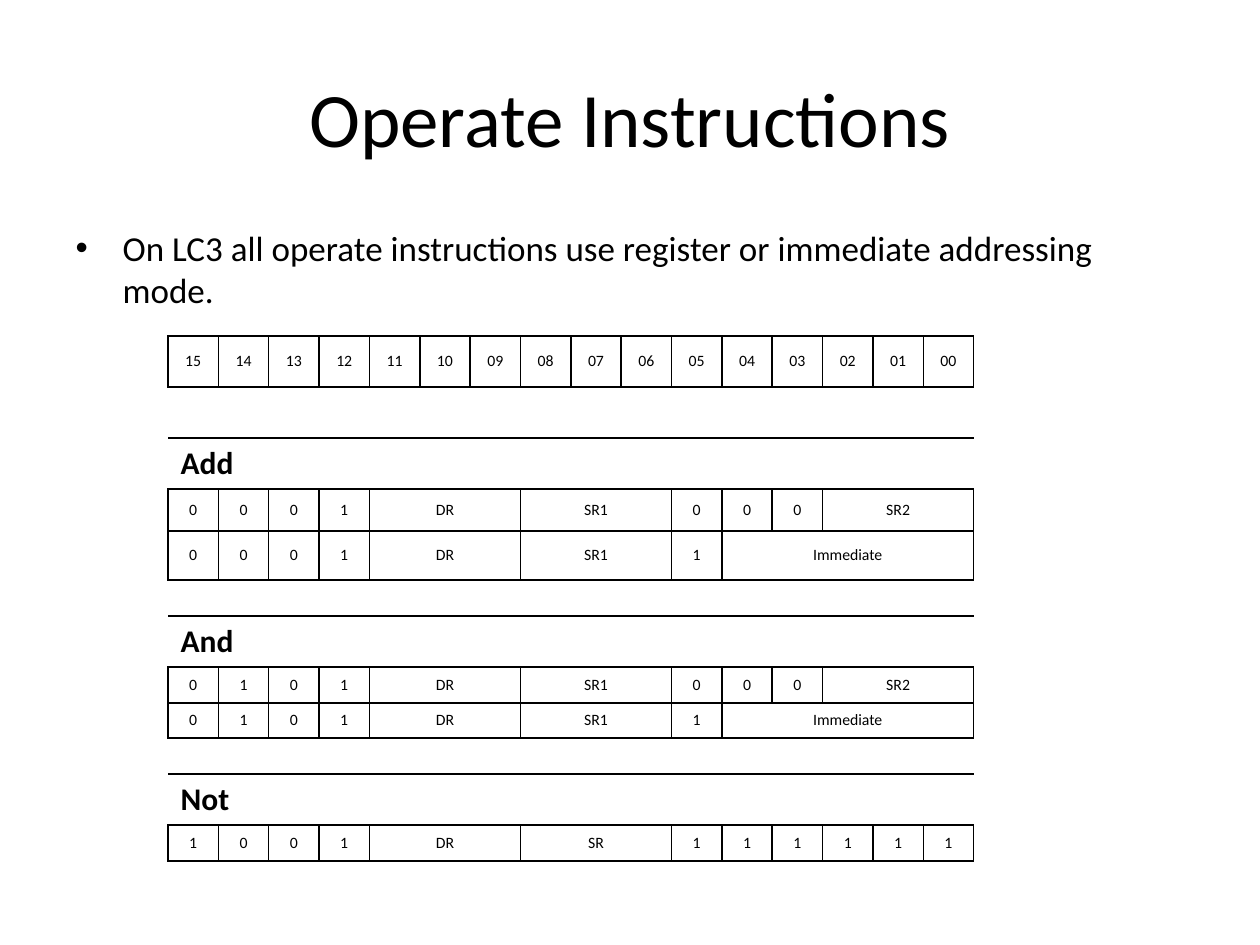
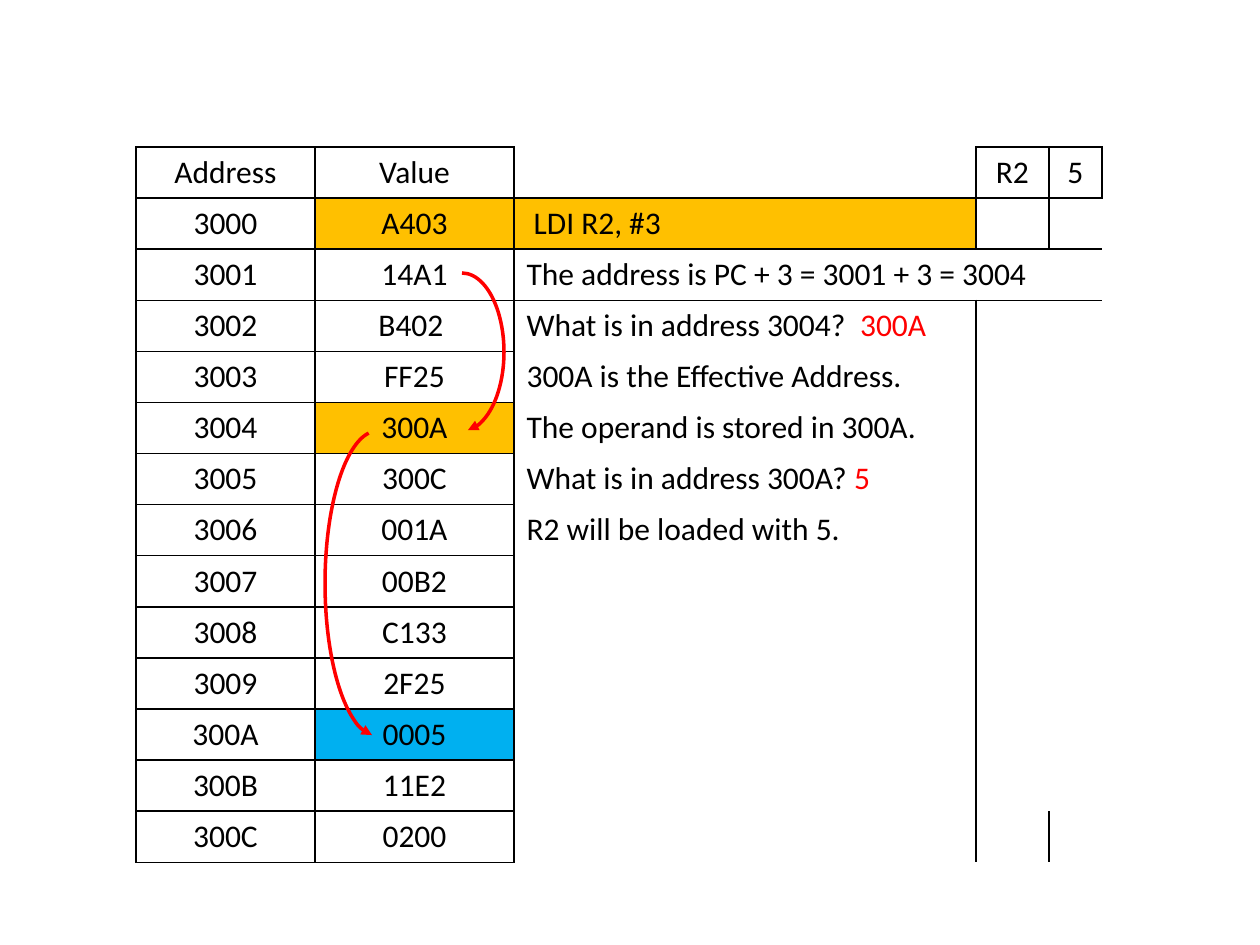
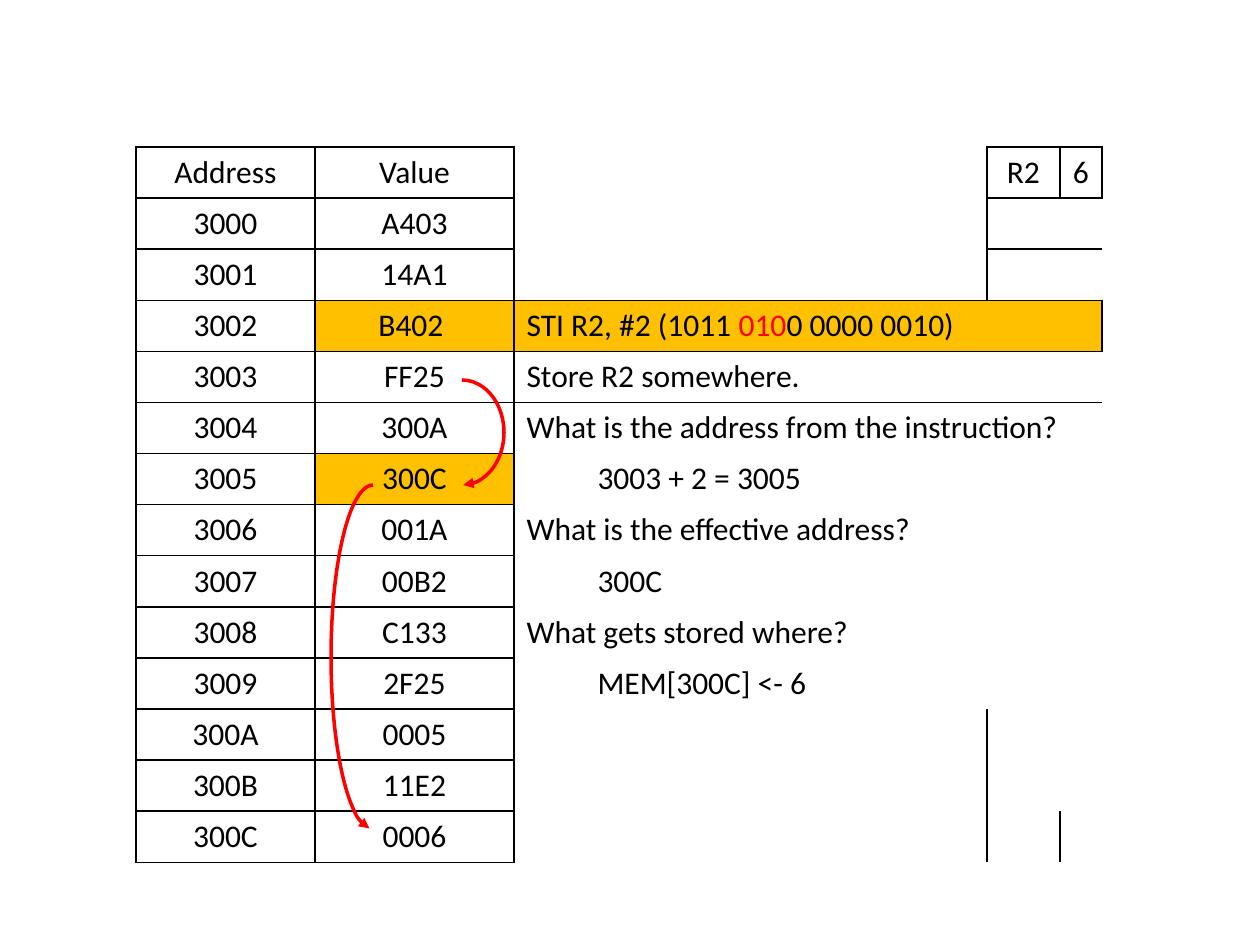
from lxml import etree
from pptx import Presentation
from pptx import util as u
from pptx.dml.color import RGBColor
from pptx.enum import shapes, text
from pptx.oxml.ns import qn

# ---------- shared look ----------
BLACK = RGBColor(0, 0, 0)
WHITE = RGBColor(0xFF, 0xFF, 0xFF)
RED = RGBColor(0xFF, 0, 0)
GOLD = RGBColor(0xFF, 0xC0, 0)
BLUE = RGBColor(0, 0xB0, 0xF0)
FONT = "Calibri"
SCALE = 914400 / 126
MID = text.PP_ALIGN.CENTER
LEFT = text.PP_ALIGN.LEFT
NO_GRID = "{2D5ABB26-0587-4C30-8999-92F81FD0307C}"

# ---------- content: instruction formats ----------
TITLE = "Operate Instructions"
POINT = ("On LC3 all operate instructions use register or "
         "immediate addressing mode.")
BITS = [f"{n:02d}" for n in range(15, -1, -1)]
# A row is a height and its fields; a field is a word or (word, bits wide).
DR, SR, SR1, SR2 = ("DR", 3), ("SR", 3), ("SR1", 3), ("SR2", 3)
IMM = ("Immediate", 5)
REGS = [DR, SR1, "0", "0", "0", SR2]
CONST = [DR, SR1, "1", IMM]
FORMATS = [
    (51, BITS),
    (51, "gap"),
    (50, "Add"),
    (42, [*"0001", *REGS]),
    (49, [*"0001", *CONST]),
    (36, "gap"),
    (51, "And"),
    (36, [*"0101", *REGS]),
    (35, [*"0101", *CONST]),
    (36, "gap"),
    (51, "Not"),
    (36, [*"1001", DR, SR, *"111111"]),
]

# ---------- content: memory walks ----------
CELLS = ["A403", "14A1", "B402 ", "FF25", "300A", "300C", "001A",
         "00B2", "C133", "2F25", "0005", "11E2"]
# Notes: row -> (runs, columns wide, edges, indent)
# Arcs: box, start and end angle, which end has the arrowhead
WALKS = [
    dict(
        reg="5", last="0200", cols=[179, 199, 462, 73, 53],
        notes={
            1: ([" LDI R2, #3"], 1, "LRTB", 0),
            2: (["The address is PC + 3 = 3001 + 3 = 3004"], 3, "LTB", 0),
            3: (["What is in address 3004?  ", ("300A", RED)], 1, "L", 0),
            4: (["300A is the Effective Address."], 1, "L", 0),
            5: (["The operand is stored in 300A."], 1, "L", 0),
            6: (["What is in address 300A? ", ("5", RED)], 1, "L", 0),
            7: (["R2 will be loaded with 5."], 1, "L", 0),
        },
        edges={(0, 2): "LRB", (1, 3): "LT", (1, 4): "T"},
        fills={(1, 1): GOLD, (1, 2): GOLD, (1, 3): WHITE, (1, 4): WHITE,
               (5, 1): GOLD, (11, 1): BLUE},
        arcs=[((420, 273, 84, 158), 162, 51.41, "tailEnd"),
              ((325, 431, 105, 305), 55.24, 159.98, "headEnd")],
    ),
    dict(
        reg="6", last="0006", cols=[179, 199, 473, 73, 42],
        notes={
            3: (["STI R2, #2 (1011 ", ("010", RED), "0 0000 0010)"],
                3, "LRTB", 0),
            4: (["Store R2 somewhere."], 3, "LTB", 0),
            5: (["What is the address from the instruction?"], 3, "L", 0),
            6: (["3003 + 2 = 3005"], 3, "L", 71),
            7: (["What is the effective address?"], 3, "L", 0),
            8: (["300C"], 3, "L", 71),
            9: (["What gets stored where?"], 3, "L", 0),
            10: (["MEM[300C] <- 6"], 3, "L", 71),
        },
        edges={(0, 2): "LR", (1, 3): "T", (1, 4): "T"},
        fills={(1, 1): WHITE, (1, 2): WHITE, (1, 3): WHITE, (1, 4): WHITE,
               (2, 1): WHITE, (2, 2): WHITE, (3, 1): GOLD, (3, 2): GOLD,
               (6, 1): GOLD},
        arcs=[((420, 380, 84, 105), 162, 53.25, "tailEnd"),
              ((331, 485, 84, 344), 54.69, 162, "headEnd")],
    ),
]


# ---------- helpers ----------
def px(n):
    """Turn pixels into EMU."""
    return u.Emu(round(n * SCALE))


def place(item, box):
    """Move a shape to a pixel box."""
    item.left, item.top, item.width, item.height = map(px, box)


def put(frame, runs, size=18, bold=False, align=LEFT, indent=0, hang=0):
    """Write runs, each a word or (word, colour), as one paragraph."""
    para = frame.paragraphs[0]
    para.alignment = align
    if indent:
        props = para._p.get_or_add_pPr()
        props.set("marL", str(px(indent)))
        props.set("indent", str(px(-hang)))
    for part in runs:
        word, tint = (part, BLACK) if isinstance(part, str) else part
        run = para.add_run()
        run.text = word
        font = run.font
        font.name, font.size, font.bold = FONT, u.Pt(size), bold
        font.color.rgb = tint
    if not runs:
        etree.SubElement(para._p, qn("a:endParaRPr"), sz=str(size * 100))


def rule(cell, edges):
    """Draw black one-point lines on the named edges of a cell."""
    props = cell._tc.get_or_add_tcPr()
    for side in "LRTB":
        if side in edges:
            line = etree.SubElement(props, qn("a:ln" + side), w="12700")
            fill = etree.SubElement(line, qn("a:solidFill"))
            etree.SubElement(fill, qn("a:srgbClr"), val=str(BLACK))


def fill_cell(grid, row, col, runs=(), span=1, edges="LRTB", fill=None,
              mid=False, **form):
    """Format, merge and fill one cell of a table."""
    head = grid.cell(row, col)
    if span > 1:
        head.merge(grid.cell(row, col + span - 1))
    for k in range(span):
        cell = grid.cell(row, col + k)
        drop = "" if k == 0 else "L" if k == span - 1 else "LR"
        rule(cell, [e for e in edges if e not in drop])
        if fill is None:
            cell.fill.background()
        else:
            cell.fill.solid()
            cell.fill.fore_color.rgb = fill
    if mid:
        head.vertical_anchor = text.MSO_ANCHOR.MIDDLE
    put(head.text_frame, runs, **form)


def add_grid(slide, left, top, cols, rows):
    """Add a plain table with the given column widths and row heights."""
    frame = slide.shapes.add_table(len(rows), len(cols), px(left), px(top),
                                   px(sum(cols)), px(sum(rows)))
    grid = frame.table
    grid.first_row = grid.horz_banding = False
    grid._tbl.tblPr.find(qn("a:tableStyleId")).text = NO_GRID
    for col, wide in zip(grid.columns, cols):
        col.width = px(wide)
    for row, tall in zip(grid.rows, rows):
        row.height = px(tall)
    return grid


def add_arc(slide, box, start, end, tip):
    """Add a red arc with an arrowhead at one end."""
    arc = slide.shapes.add_shape(shapes.MSO_SHAPE.ARC, *map(px, box))
    arc.shadow.inherit = False
    arc.adjustments[0], arc.adjustments[1] = start, end
    arc.fill.background()
    arc.line.color.rgb = RED
    arc.line.width = u.Pt(2)
    etree.SubElement(arc.line._get_or_add_ln(), qn("a:" + tip),
                     type="triangle")


# ---------- slides ----------
def show_formats(deck):
    """Build the slide of instruction formats."""
    slide = deck.slides.add_slide(deck.slide_layouts[1])
    title, body = slide.placeholders
    place(title, (63, 38, 1134, 157))
    put(title.text_frame, [TITLE], size=44, align=MID)
    place(body, (63, 220, 1134, 624))
    put(body.text_frame, [POINT], size=20, indent=47, hang=47)

    wide = len(BITS)
    grid = add_grid(slide, 168, 336, [806 / wide] * wide,
                    [tall for tall, _ in FORMATS])
    for r, (_, fields) in enumerate(FORMATS):
        if fields == "gap":
            fill_cell(grid, r, 0, span=wide, edges="T", size=9)
        elif isinstance(fields, str):
            fill_cell(grid, r, 0, [fields], span=wide, edges="B",
                      mid=True, bold=True)
        else:
            c = 0
            for field in fields:
                word, span = (field, 1) if isinstance(field, str) else field
                fill_cell(grid, r, c, [word], span=span, mid=True,
                          size=9, align=MID)
                c += span


def show_walk(deck, walk):
    """Build a slide that follows an indirect address through memory."""
    slide = deck.slides.add_slide(deck.slide_layouts[6])
    values = CELLS + [walk["last"]]
    pairs = [("Address", "Value")]
    pairs += [(f"{0x3000 + n:X}", v) for n, v in enumerate(values)]
    count = len(pairs)
    grid = add_grid(slide, 136, 147, walk["cols"], [716 / count] * count)
    fills = walk["fills"]
    edges = {(count - 1, 3): "L", **walk["edges"]}

    for r, pair in enumerate(pairs):
        for c, word in enumerate(pair):
            fill_cell(grid, r, c, [word], fill=fills.get((r, c)), align=MID)
        runs, span, sides, indent = walk["notes"].get(
            r, ([], 1, edges.get((r, 2), "L"), 0))
        fill_cell(grid, r, 2, runs, span=span, edges=sides,
                  fill=fills.get((r, 2)), indent=indent)
        for c in range(2 + span, 5):
            if r == 0:
                word = "R2" if c == 3 else walk["reg"]
                fill_cell(grid, r, c, [word], align=MID)
            else:
                fill_cell(grid, r, c, edges=edges.get((r, c), ""),
                          fill=fills.get((r, c)))
    for arc in walk["arcs"]:
        add_arc(slide, *arc)


deck = Presentation()
deck.slide_width, deck.slide_height = px(1260), px(945)
show_formats(deck)
for walk in WALKS:
    show_walk(deck, walk)
deck.save("out.pptx")
